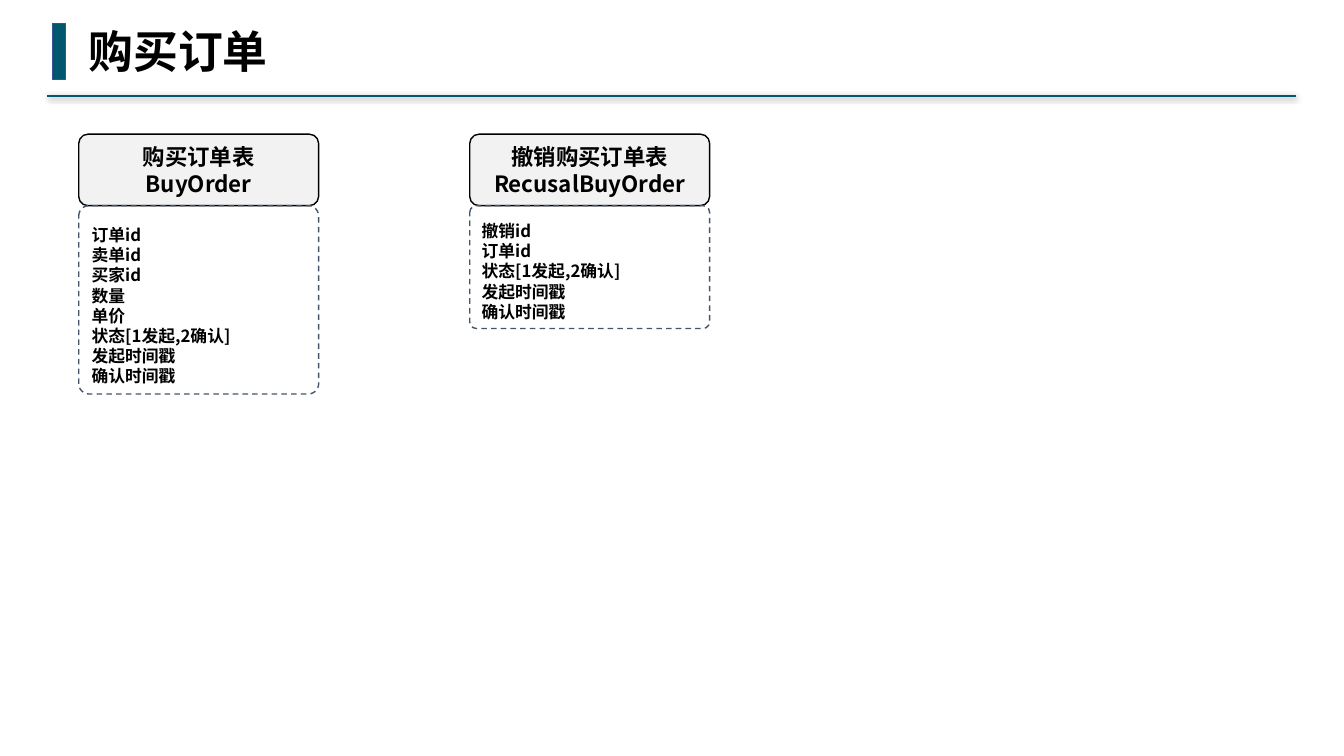
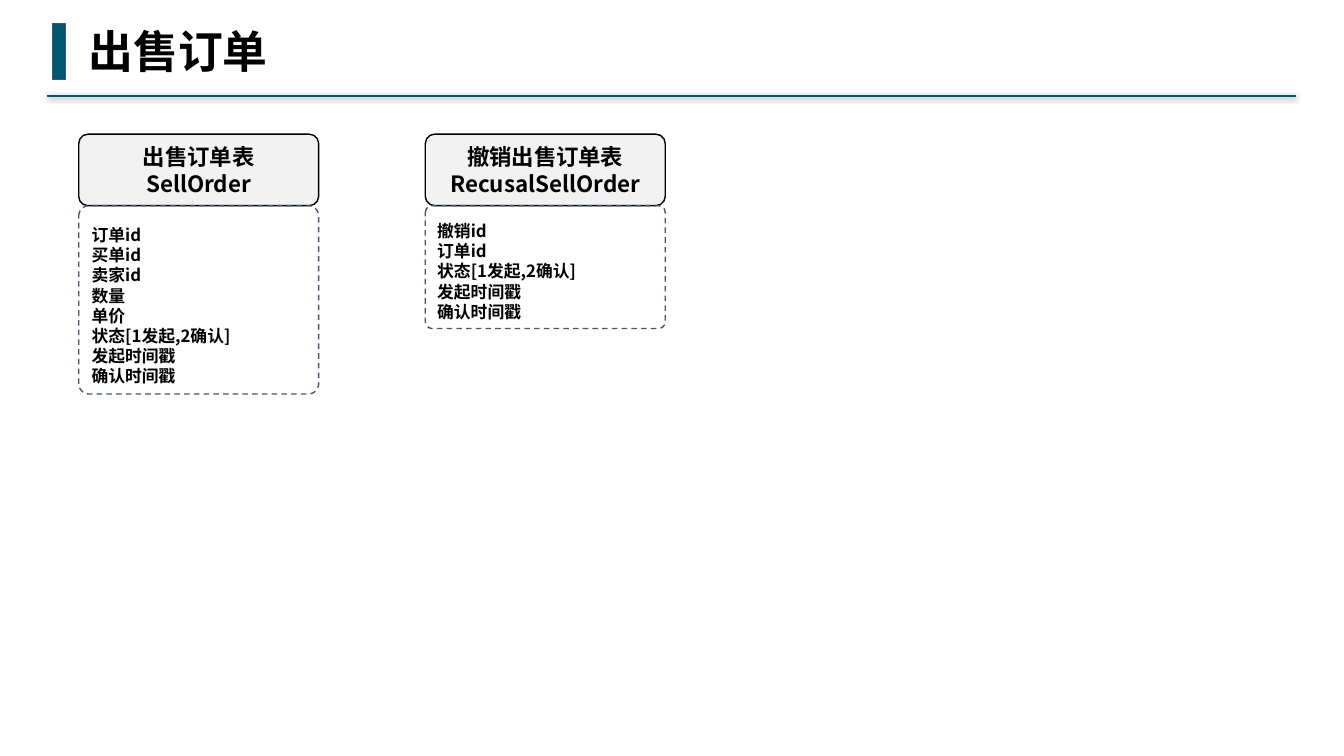
import pptx
import pptx.util
import pptx.dml.color
import pptx.enum.dml
import pptx.enum.shapes
import pptx.enum.text
import pptx.oxml
import pptx.oxml.ns

Pt = pptx.util.Pt
SHAPES = pptx.enum.shapes.MSO_SHAPE
ALIGN = pptx.enum.text.PP_ALIGN
ANCHOR = pptx.enum.text.MSO_ANCHOR

TEAL, BAR_EDGE, SLATE = "00576E", "325491", "44546A"
BLACK, PALE_GREY = "000000", "F2F2F2"
TITLE_FONT, BODY_FONT = "Noto Sans Mono", "Noto Sans CJK SC"

LEFT = 56.2
CARD_TOP, CARD_WIDTH, HEADER_HEIGHT = 95.8, 171.4, 51.1

STATUS_FIELDS = ["状态[1发起,2确认]", "发起时间戳", "确认时间戳"]
RECUSAL_FIELDS = ["撤销id", "订单id"] + STATUS_FIELDS

# Each card: left, heading lines, field names, body height
SLIDES = [
    ("购买订单", [
        (LEFT, ["购买订单表", "BuyOrder"],
         ["订单id", "卖单id", "买家id", "数量", "单价"] + STATUS_FIELDS, 134.6),
        (335.5, ["撤销购买订单表", "RecusalBuyOrder"], RECUSAL_FIELDS, 87.8),
    ]),
    ("出售订单", [
        (LEFT, ["出售订单表", "SellOrder"],
         ["订单id", "买单id", "卖家id", "数量", "单价"] + STATUS_FIELDS, 134.6),
        (303.8, ["撤销出售订单表", "RecusalSellOrder"], RECUSAL_FIELDS, 87.8),
    ]),
]


def color(value):
    """Turn a hex string into a colour."""
    return pptx.dml.color.RGBColor.from_string(value)


def apply_format(target, values):
    """Set each attribute of target from a dict."""
    for name, value in values.items():
        setattr(target, name, value)


def write_lines(text_frame, lines, size, font_name, alignment, frame_format):
    """Write one bold black paragraph for each line."""
    apply_format(text_frame, frame_format)
    for index, line in enumerate(lines):
        paragraph = text_frame.paragraphs[0] if index == 0 else text_frame.add_paragraph()
        paragraph.alignment = alignment
        run = paragraph.add_run()
        run.text = line
        apply_format(run.font, {"size": Pt(size), "bold": True, "name": font_name})
        run.font.color.rgb = color(BLACK)
        east_asian = pptx.oxml.parse_xml(
            f'<a:ea {pptx.oxml.ns.nsdecls("a")} typeface="{font_name}"/>')
        run.font._element.find(pptx.oxml.ns.qn("a:latin")).addnext(east_asian)


def add_box(slide, kind, box, fill, line, dash=None, corner=None):
    """Add a preset shape with a 1 pt outline and an optional fill."""
    shape = slide.shapes.add_shape(kind, *[Pt(length) for length in box])
    shape.shadow.inherit = False
    if fill:
        shape.fill.solid()
        shape.fill.fore_color.rgb = color(fill)
    else:
        shape.fill.background()
    shape.line.color.rgb = color(line)
    apply_format(shape.line, {"width": Pt(1), "dash_style": dash})
    if corner is not None:
        shape.adjustments[0] = corner
    return shape


def add_rule(slide):
    """Add the line under the title, with its soft shadow."""
    rule = slide.shapes.add_connector(
        pptx.enum.shapes.MSO_CONNECTOR.STRAIGHT, Pt(925.9), Pt(68.4), Pt(33.8), Pt(68.4))
    rule.line.color.rgb = color(TEAL)
    rule.line.width = Pt(1.5)
    rule._element.spPr.append(pptx.oxml.parse_xml(
        f'<a:effectLst {pptx.oxml.ns.nsdecls("a")}>'
        f'<a:outerShdw blurRad="{Pt(4)}" dist="{Pt(1)}" dir="5400000" rotWithShape="0">'
        f'<a:srgbClr val="{BLACK}"><a:alpha val="40000"/></a:srgbClr>'
        '</a:outerShdw></a:effectLst>'))


def add_title(slide, title):
    """Add the rule, the marker bar and the title."""
    add_rule(slide)
    add_box(slide, SHAPES.RECTANGLE, (37.4, 16.6, 9.4, 40.3), TEAL, BAR_EDGE)
    text_box = slide.shapes.add_textbox(Pt(LEFT), Pt(13.7), Pt(144), Pt(46.1))
    write_lines(text_box.text_frame, [title], 32, TITLE_FONT, ALIGN.LEFT, {
        "word_wrap": False,
        "auto_size": pptx.enum.text.MSO_AUTO_SIZE.SHAPE_TO_FIT_TEXT})


def add_table_card(slide, left, heading, fields, body_height):
    """Add a heading box with a dashed list of fields below it."""
    header = add_box(slide, SHAPES.ROUNDED_RECTANGLE,
                     (left, CARD_TOP, CARD_WIDTH, HEADER_HEIGHT),
                     PALE_GREY, BLACK, corner=0.131)
    margins = {f"margin_{side}": Pt(2.9) for side in ("left", "top", "right", "bottom")}
    write_lines(header.text_frame, heading, 16, BODY_FONT, ALIGN.CENTER,
                {"word_wrap": False, "vertical_anchor": ANCHOR.MIDDLE, **margins})
    body = add_box(slide, SHAPES.ROUNDED_RECTANGLE,
                   (left, CARD_TOP + HEADER_HEIGHT, CARD_WIDTH, body_height),
                   None, SLATE, pptx.enum.dml.MSO_LINE.DASH, 0.055)
    write_lines(body.text_frame, fields, 12, BODY_FONT, ALIGN.LEFT,
                {"word_wrap": True, "vertical_anchor": ANCHOR.BOTTOM})


def main():
    """Build both order slides and save them."""
    presentation = pptx.Presentation()
    apply_format(presentation, {"slide_width": Pt(960), "slide_height": Pt(540)})
    for title, cards in SLIDES:
        slide = presentation.slides.add_slide(presentation.slide_layouts[6])
        add_title(slide, title)
        for card in cards:
            add_table_card(slide, *card)
    presentation.save("out.pptx")


main()
